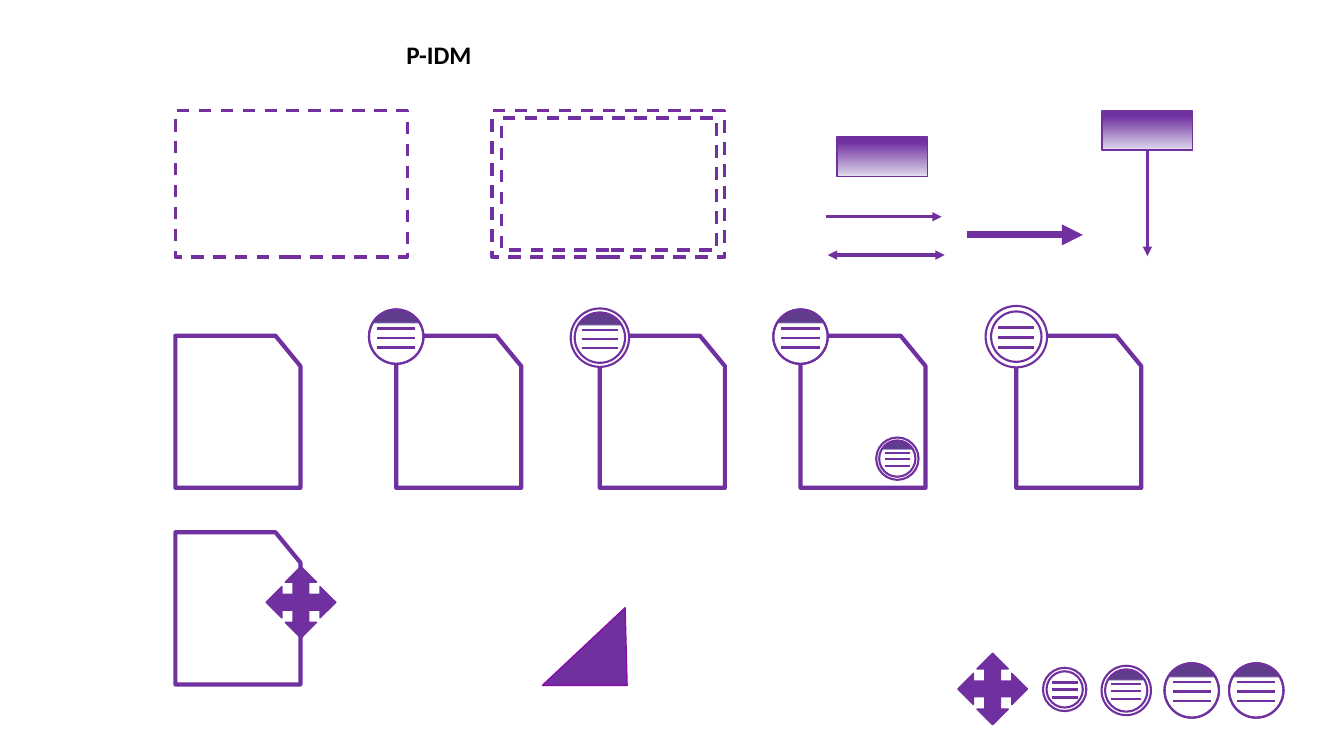
from dataclasses import dataclass
from typing import Optional

from lxml.etree import SubElement
from pptx import Presentation
from pptx.dml.color import RGBColor
from pptx.enum.dml import MSO_LINE
from pptx.enum.shapes import MSO_CONNECTOR, MSO_SHAPE as Preset
from pptx.enum.text import MSO_ANCHOR, MSO_AUTO_SIZE, PP_ALIGN
from pptx.oxml.ns import qn
from pptx.util import Inches, Pt

# Grid: ten columns and ten rows to the inch
COLUMNS, ROWS = 133.3, 75
PURPLE, WHITE, BLACK, MAGENTA = "7030A0", "FFFFFF", "000000", "870CA8"
HEADER_FADE = [(13, PURPLE, 100), (88, "CEC1E2", 100), (100, "E7E1F0", 100)]
CAP_FADE = [(24, "603D8D", 100), (26, "B197D2", 100), (27, "E7E1F0", 0)]


@dataclass
class Box:
    col: float
    row: float
    cols: float
    rows: float


@dataclass
class Arrow:
    start: tuple[float, float]
    end: tuple[float, float]
    weight: float = 2.25
    both_ways: bool = False


@dataclass
class Badge:
    col: float  # centre
    row: float
    inner: float  # diameters
    outer: Optional[float] = None
    capped: bool = True


def grid(units: float) -> int:
    return Inches(units / 10)


def color(hex_code: str) -> RGBColor:
    return RGBColor.from_string(hex_code)


def fade(shape, stops: list[tuple[int, str, int]]) -> None:
    """Fill downwards through (position %, colour, opacity %) stops."""
    shape.fill.gradient()
    gradient = shape._element.spPr.find(qn("a:gradFill"))
    for child in list(gradient):
        gradient.remove(child)
    stop_list = SubElement(gradient, qn("a:gsLst"))
    for position, hex_code, opacity in stops:
        stop = SubElement(stop_list, qn("a:gs"), pos=str(position * 1000))
        tint = SubElement(stop, qn("a:srgbClr"), val=hex_code)
        if opacity < 100:
            SubElement(tint, qn("a:alpha"), val=str(opacity * 1000))
    SubElement(gradient, qn("a:lin"), ang="5400000", scaled="0")


def paint(shape, fill: str, weight: float, outline: str = PURPLE):
    shape.shadow.inherit = False
    shape.fill.solid()
    shape.fill.fore_color.rgb = color(fill)
    shape.line.color.rgb = color(outline)
    shape.line.width = Pt(weight)
    return shape


def draw_box(shapes, preset: Preset, box: Box, weight: float, fill: str = WHITE):
    shape = shapes.add_shape(preset, grid(box.col), grid(box.row),
                             grid(box.cols), grid(box.rows))
    return paint(shape, fill, weight)


def draw_line(shapes, arrow: Arrow, ends: tuple[str, ...] = ()) -> None:
    points = [grid(value) for value in (*arrow.start, *arrow.end)]
    line = shapes.add_connector(MSO_CONNECTOR.STRAIGHT, *points)
    line.line.color.rgb = color(PURPLE)
    line.line.width = Pt(arrow.weight)
    for end in ends:
        SubElement(line.line._get_or_add_ln(), qn(end), type="triangle")
    SubElement(line._element.spPr, qn("a:effectLst"))


def draw_card(shapes, col: float, row: float) -> None:
    card = draw_box(shapes, Preset.FLOWCHART_CARD, Box(col, row, 12.4, 15.1), 3)
    card._element.spPr.find(qn("a:xfrm")).set("flipH", "1")


def draw_badge(shapes, badge: Badge) -> None:
    parts = shapes.add_group_shape().shapes

    def ring(size: float):
        place = Box(badge.col - size / 2, badge.row - size / 2, size, size)
        return draw_box(parts, Preset.OVAL, place, 1.5)

    ring(badge.outer or badge.inner)
    disc = ring(badge.inner)
    if badge.capped:
        fade(disc, CAP_FADE)
    # Strokes as shares of the inner diameter
    offsets, length, weight = (((-0.15, 0.02, 0.2), 0.7, 1.5) if badge.capped
                               else ((-0.19, 0.01, 0.22), 0.72, 2.25))
    half = badge.inner * length / 2
    for offset in offsets:
        row = badge.row + offset * badge.inner
        draw_line(parts, Arrow((badge.col - half, row), (badge.col + half, row), weight))


def main() -> None:
    deck = Presentation()
    deck.slide_width, deck.slide_height = grid(COLUMNS), grid(ROWS)
    slide = deck.slides.add_slide(deck.slide_layouts[5])
    shapes = slide.shapes

    # Heading
    heading = shapes.title
    heading.left, heading.top = grid(39.3), grid(3.4)
    heading.width, heading.height = grid(11.6), grid(4)
    frame = heading.text_frame
    frame.word_wrap = True
    frame.auto_size = MSO_AUTO_SIZE.SHAPE_TO_FIT_TEXT
    frame.vertical_anchor = MSO_ANCHOR.TOP
    frame.paragraphs[0].alignment = PP_ALIGN.LEFT
    run = frame.paragraphs[0].add_run()
    run.text = "P-IDM"
    run.font.name, run.font.size, run.font.bold = "Calibri", Pt(18), True
    run.font.color.rgb = color(BLACK)

    # Dashed frames: single and double
    for frame_box in (Box(17.4, 11, 23, 14.5), Box(48.8, 11, 23.1, 14.5),
                      Box(49.7, 11.7, 21.4, 13.1)):
        dashed = draw_box(shapes, Preset.RECTANGLE, frame_box, 2.25)
        dashed.line.dash_style = MSO_LINE.DASH

    # Shaded headers
    for col, row in ((83, 13.6), (109.3, 11)):
        fade(draw_box(shapes, Preset.RECTANGLE, Box(col, row, 9, 3.9), 1), HEADER_FADE)

    # Arrows
    for arrow in (Arrow((81.9, 21.5), (93.4, 21.5)),
                  Arrow((82.1, 25.3), (93.7, 25.3), both_ways=True),
                  Arrow((95.9, 23.3), (107.4, 23.3), weight=5),
                  Arrow((113.8, 14.9), (113.8, 25.4))):
        draw_line(shapes, arrow,
                  ("a:headEnd", "a:tailEnd") if arrow.both_ways else ("a:tailEnd",))

    # Cards
    for col in (17.4, 39.3, 59.5, 79.4, 100.8):
        draw_card(shapes, col, 33.3)
    draw_card(shapes, 17.4, 52.8)

    # Badges on the cards, then in the bottom row
    for badge in (Badge(39.3, 33.4, 5.4), Badge(59.5, 33.5, 5, 5.8),
                  Badge(79.4, 33.4, 5.4), Badge(89, 45.5, 3.6, 4.2),
                  Badge(100.8, 33.4, 5, 6.1, capped=False),
                  Badge(105.6, 68.4, 3.6, 4.3, capped=False),
                  Badge(111.7, 68.5, 4.2, 4.9),
                  Badge(118.2, 68.5, 5.4), Badge(124.6, 68.5, 5.4)):
        draw_badge(shapes, badge)

    # Four-way markers
    for col, row in ((26.4, 56.2), (95, 64.8)):
        draw_box(shapes, Preset.QUAD_ARROW, Box(col, row, 6.9, 7.1), 1, PURPLE)

    # Wedge
    base_left, tip, base_right = [(grid(col), grid(row)) for col, row in
                                  ((53.8, 68), (62, 60.3), (62.2, 68))]
    outline = shapes.build_freeform(*base_left)
    outline.add_line_segments([tip, base_right], close=True)
    paint(outline.convert_to_shape(), PURPLE, 1, MAGENTA)

    deck.save("out.pptx")


main()
